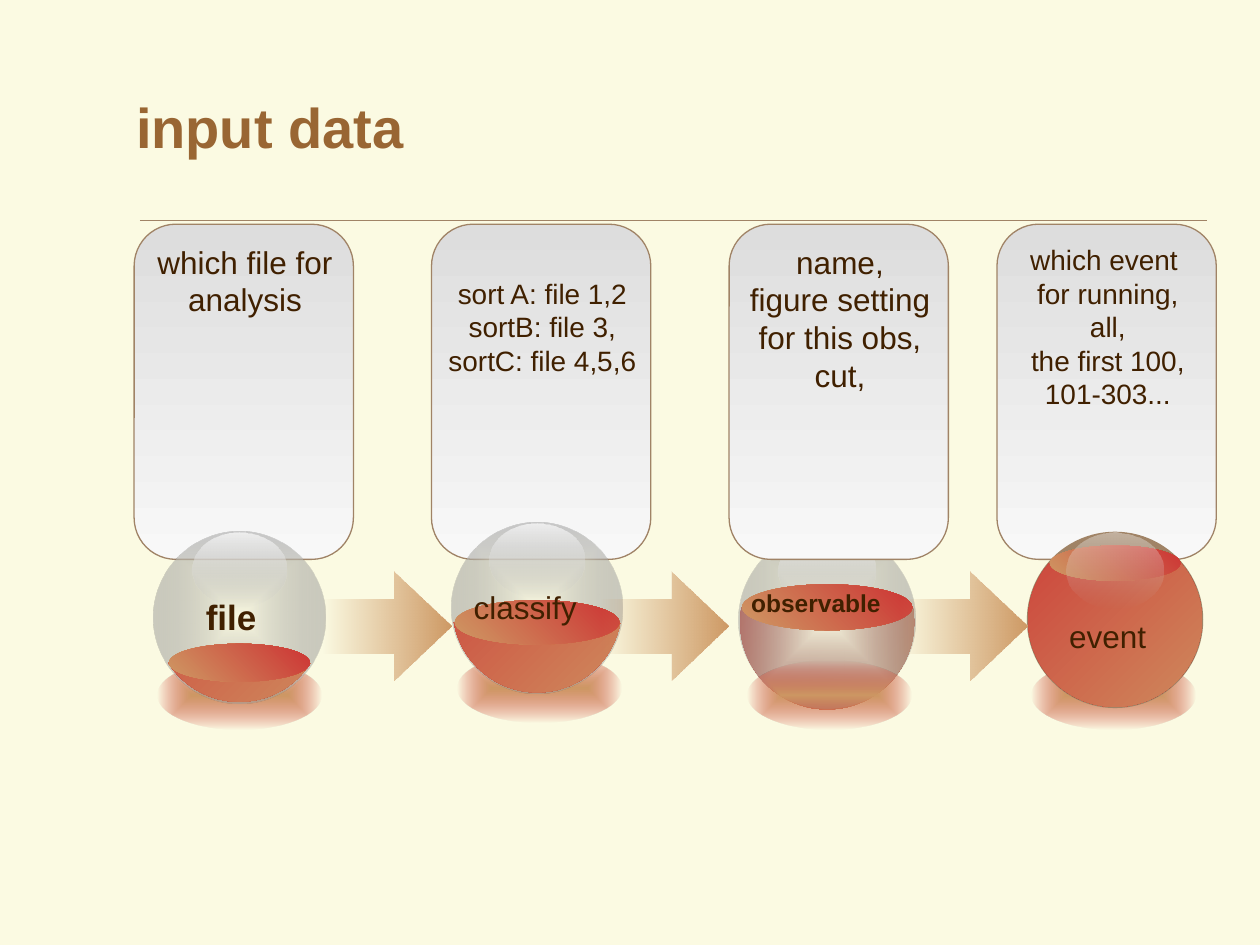
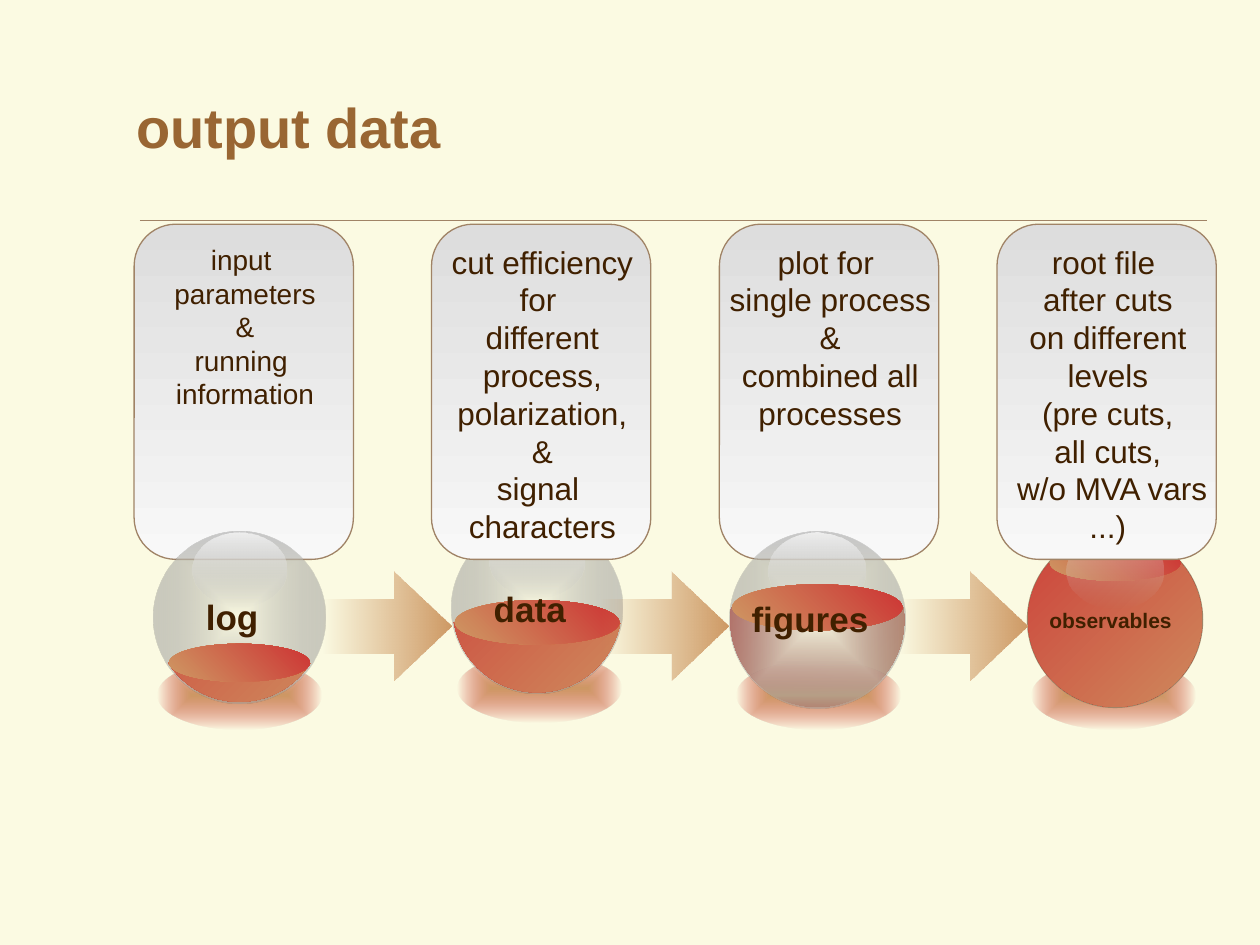
import math
from dataclasses import dataclass, replace

import lxml.etree
import pptx
import pptx.dml.color
import pptx.enum.shapes
import pptx.enum.text
import pptx.oxml.ns
import pptx.util

SHAPE = pptx.enum.shapes.MSO_SHAPE
ALIGN = pptx.enum.text.PP_ALIGN
ANCHOR = pptx.enum.text.MSO_ANCHOR
AUTO_SIZE = pptx.enum.text.MSO_AUTO_SIZE
qn = pptx.oxml.ns.qn

# Square grid: 100 columns by 75 rows
COLUMNS, ROWS = 100, 75
SLIDE_WIDTH, SLIDE_HEIGHT = pptx.util.Inches(10), pptx.util.Inches(7.5)
CELL = SLIDE_WIDTH / COLUMNS

COLORS = {
    "cream": "FBFAE2", "title": "996633", "text": "402000", "bronze": "A08366",
    "red": "CD3333", "tan": "CE9964", "gray": "969696", "silver": "C0C0C0",
    "card top": "DDDDDD", "white": "F8F8F8",
}
FONT = "Arial"


@dataclass(frozen=True)
class Gradient:
    """Two colours with opacity in percent; no angle means from the centre."""
    start: str
    end: str
    angle: int | None = None
    start_opacity: int = 100
    end_opacity: int = 100


CARD_FILL = Gradient("card top", "white", 90)
LIQUID_FILL = Gradient("red", "tan", 90)
SURFACE_FILL = Gradient("tan", "red", 315)
GLASS_FILL = Gradient("cream", "gray", end_opacity=48)
GLOW_FILL = Gradient("tan", "red", end_opacity=0)
ARROW_FILL = Gradient("tan", "tan", 0, start_opacity=0)
LIQUID_TURN = 315


@dataclass(frozen=True)
class Ball:
    left: float
    top: float
    size: float
    level: float
    glow_left: float
    glow_top: float = 52.45
    layers: str = "glow glass liquid surface gloss"
    glass: Gradient | str = GLASS_FILL
    gloss_opacity: int = 80
    liquid_drop: float = 0


@dataclass(frozen=True)
class Label:
    text: str
    box: tuple[float, float, float, float]
    size: int
    bold: bool = True


@dataclass(frozen=True)
class Stage:
    card_left: float
    lines: tuple[str, ...]
    ball: Ball
    label: Label
    text_size: int = 18
    card_in_front: bool = False
    lines_skipped: int = 0


# Balls, from nearly empty to nearly full
LOW = Ball(12.2, 42.2, 13.6, 52.6, 12.5)
HALF = Ball(35.83, 41.45, 13.6, 49.4, 36.3, 51.9)
HIGH = Ball(58.65, 42.2, 14, 48.2, 59.3, layers="liquid glass glow gloss surface",
            liquid_drop=0.2)
FULL = Ball(81.5, 42.2, 14, 44.7, 81.85, glass="bronze", gloss_opacity=40)
HIGH_SHIFTED = replace(HIGH, left=57.87, glow_left=58.5, liquid_drop=0,
                       layers="liquid glow glass gloss surface")

CARD_TOP, CARD_WIDTH, CARD_HEIGHT = 17.8, 17.4, 26.6
ARROW_LEFTS = (25.6, 47.65, 71.33)

SLIDES = {
    "input data": (
        Stage(10.65, ("which file for", "analysis"), LOW,
              Label("file", (15.35, 46.75, 7, 4.3), 20)),
        Stage(34.25, ("sort A: file 1,2", "sortB: file 3,", "sortC: file 4,5,6"), HALF,
              Label("classify", (36.6, 46.2, 11.2, 7.3), 18, False), 16, lines_skipped=1),
        Stage(57.87, ("name,", "figure setting", "for this obs,", "cut,"), HIGH,
              Label("observable", (58.63, 46.2, 14.1, 3.3), 14), card_in_front=True),
        Stage(79.13, ("which event ", "for running,", "all,", "the first 100,", "101-303..."),
              FULL, Label("event", (83.87, 48.5, 9.1, 4), 18, False), 16),
    ),
    "output data": (
        Stage(10.65, ("input ", "parameters", "&", "running ", "information"), LOW,
              Label("log", (15.35, 46.75, 6.8, 4.3), 20), 16),
        Stage(34.25, ("cut efficiency", "for ", "different", "process,", "polarization,",
                      "&", "signal ", "characters"), HALF,
              Label("data", (38.2, 46.15, 9.1, 4.3), 20), card_in_front=True),
        Stage(57.1, ("plot for ", "single process", "&", "combined all", "processes"),
              HIGH_SHIFTED, Label("figures", (58.67, 46.9, 13, 4.3), 20)),
        Stage(79.13, ("root file ", "after cuts", "on different", "levels", "(pre cuts,",
                      "all cuts,", " w/o MVA vars", "...)"), FULL,
              Label("observables", (82.3, 47.7, 13.4, 3), 12), card_in_front=True),
    ),
}


def cells(*lengths: float) -> list[pptx.util.Emu]:
    return [pptx.util.Emu(round(length * CELL)) for length in lengths]


def rgb(name: str) -> pptx.dml.color.RGBColor:
    return pptx.dml.color.RGBColor.from_string(COLORS[name])


def paint(shape, fill: Gradient | str) -> None:
    """Fill a shape and take away its line and shadow."""
    shape.shadow.inherit = False
    shape.line.fill.background()
    if isinstance(fill, str):
        shape.fill.solid()
        shape.fill.fore_color.rgb = rgb(fill)
        return
    shape.fill.background()
    properties = shape._element.spPr
    gradient = lxml.etree.Element(qn("a:gradFill"), rotWithShape="1")
    stops = lxml.etree.SubElement(gradient, qn("a:gsLst"))
    for position, name, opacity in ((0, fill.start, fill.start_opacity),
                                    (100000, fill.end, fill.end_opacity)):
        stop = lxml.etree.SubElement(stops, qn("a:gs"), pos=str(position))
        color = lxml.etree.SubElement(stop, qn("a:srgbClr"), val=COLORS[name])
        if opacity < 100:
            lxml.etree.SubElement(color, qn("a:alpha"), val=str(opacity * 1000))
    if fill.angle is None:
        center = lxml.etree.SubElement(gradient, qn("a:path"), path="shape")
        sides = dict.fromkeys("ltrb", "50000")
        lxml.etree.SubElement(center, qn("a:fillToRect"), **sides)
    else:
        lxml.etree.SubElement(gradient, qn("a:lin"), ang=str(fill.angle * 60000), scaled="0")
    properties.replace(properties.find(qn("a:noFill")), gradient)


def write(paragraph, text: str, size: int, bold: bool = False, color: str = "text") -> None:
    run = paragraph.add_run()
    run.text = text
    font_format = {"name": FONT, "size": pptx.util.Pt(size), "bold": bold}
    for attribute, value in font_format.items():
        setattr(run.font, attribute, value)
    run.font.color.rgb = rgb(color)


def add_title(slide, text: str) -> None:
    title = slide.shapes.title
    title.left, title.top, title.width, title.height = cells(9.8, 4.45, 85.2, 11.1)
    title.text_frame.vertical_anchor = ANCHOR.MIDDLE
    heading = title.text_frame.paragraphs[0]
    heading.alignment = ALIGN.LEFT
    write(heading, text, 32, True, "title")

    rule = slide.shapes.add_connector(
        pptx.enum.shapes.MSO_CONNECTOR.STRAIGHT, *cells(11.1, 17.5, 95.8, 17.5))
    rule.line.color.rgb = rgb("bronze")
    rule.line.width = pptx.util.Pt(0.25)
    lxml.etree.SubElement(rule._element.spPr, qn("a:effectLst"))


def add_card(slide, stage: Stage) -> None:
    card = slide.shapes.add_shape(
        SHAPE.ROUNDED_RECTANGLE, *cells(stage.card_left, CARD_TOP, CARD_WIDTH, CARD_HEIGHT))
    card.adjustments[0] = 0.19
    paint(card, CARD_FILL)
    card.line.color.rgb = rgb("bronze")
    card.line.width = pptx.util.Pt(0.75)
    frame = card.text_frame
    skipped = pptx.util.Pt(1.2 * stage.text_size * stage.lines_skipped)
    frame_format = {"word_wrap": False, "vertical_anchor": ANCHOR.TOP,
                    "margin_top": pptx.util.Inches(0.05) + skipped}
    for attribute, value in frame_format.items():
        setattr(frame, attribute, value)
    for index, line in enumerate(stage.lines):
        paragraph = frame.add_paragraph() if index else frame.paragraphs[0]
        paragraph.alignment = ALIGN.CENTER
        paragraph._p.get_or_add_pPr().set("marL", str(pptx.util.Inches(0.02)))
        write(paragraph, line, stage.text_size)


def add_liquid(shapes, center_x: float, center_y: float, radius: float, level: float) -> None:
    """Draw the part of a circle below the level, as a few curves in a turned square."""
    left, top, right, bottom = cells(center_x - radius, center_y - radius,
                                     center_x + radius, center_y + radius)
    builder = shapes.build_freeform(left, top)
    builder.add_line_segments([(right, top), (right, bottom), (left, bottom)], close=True)
    liquid = builder.convert_to_shape()
    paint(liquid, LIQUID_FILL)
    liquid.rotation = LIQUID_TURN

    surface_angle = math.asin((level - center_y) / radius)
    sweep = math.pi - 2 * surface_angle
    curves = math.ceil(sweep / (math.pi / 2))
    step = sweep / curves
    reach = 4 / 3 * math.tan(step / 4)
    outline = next(liquid._element.iter(qn("a:path")))
    for part in list(outline):
        outline.remove(part)

    def add_point(parent, angle: float, tangent: float = 0) -> None:
        x = radius * (1 + math.cos(angle) - tangent * math.sin(angle))
        y = radius * (1 + math.sin(angle) + tangent * math.cos(angle))
        column, row = cells(x, y)
        lxml.etree.SubElement(parent, qn("a:pt"), x=str(column), y=str(row))

    angle = surface_angle - math.radians(LIQUID_TURN)
    add_point(lxml.etree.SubElement(outline, qn("a:moveTo")), angle)
    for _ in range(curves):
        curve = lxml.etree.SubElement(outline, qn("a:cubicBezTo"))
        add_point(curve, angle, reach)
        angle += step
        add_point(curve, angle, -reach)
        add_point(curve, angle)
    lxml.etree.SubElement(outline, qn("a:close"))


def add_ball(slide, ball: Ball, label: Label) -> None:
    shapes = slide.shapes.add_group_shape().shapes
    radius = ball.size / 2
    center_x, center_y = ball.left + radius, ball.top + radius
    liquid_radius = radius - 0.1
    surface = 1.98 * math.sqrt(liquid_radius ** 2 - (ball.level - center_y) ** 2)
    gloss_width = 0.55 * ball.size
    gloss_fill = Gradient("white", "silver", 90, ball.gloss_opacity, 0)
    # Each ellipse: left, top, width, height, fill
    ellipses = {
        "glow": (ball.glow_left, ball.glow_top, 13, 5.45, GLOW_FILL),
        "glass": (ball.left, ball.top, ball.size, ball.size, ball.glass),
        "surface": (center_x - surface / 2, ball.level - 0.135 * surface,
                    surface, 0.27 * surface, SURFACE_FILL),
        "gloss": (center_x - gloss_width / 2, ball.top + 0.1,
                  gloss_width, 0.43 * ball.size, gloss_fill),
    }
    for layer in ball.layers.split():
        if layer == "liquid":
            add_liquid(shapes, center_x, center_y + ball.liquid_drop, liquid_radius, ball.level)
            continue
        *box, fill = ellipses[layer]
        paint(shapes.add_shape(SHAPE.OVAL, *cells(*box)), fill)

    caption = shapes.add_textbox(*cells(*label.box)).text_frame
    caption.word_wrap = False
    caption.auto_size = AUTO_SIZE.SHAPE_TO_FIT_TEXT
    write(caption.paragraphs[0], label.text, label.size, label.bold)


def add_arrow(slide, left: float) -> None:
    arrow = slide.shapes.add_shape(SHAPE.RIGHT_ARROW, *cells(left, 45.4, 10.2, 8.6))
    arrow.adjustments[0], arrow.adjustments[1] = 0.5, 0.53
    paint(arrow, ARROW_FILL)


def add_process_slide(deck, title: str, stages: tuple[Stage, ...]) -> None:
    slide = deck.slides.add_slide(deck.slide_layouts[5])
    add_title(slide, title)
    for stage in stages:
        if not stage.card_in_front:
            add_card(slide, stage)
        add_ball(slide, stage.ball, stage.label)
        if stage.card_in_front:
            add_card(slide, stage)
    for left in ARROW_LEFTS:
        add_arrow(slide, left)


def main() -> None:
    deck = pptx.Presentation()
    deck.slide_width, deck.slide_height = SLIDE_WIDTH, SLIDE_HEIGHT
    background = deck.slide_master.background.fill
    background.solid()
    background.fore_color.rgb = rgb("cream")
    for title, stages in SLIDES.items():
        add_process_slide(deck, title, stages)
    deck.save("out.pptx")


if __name__ == "__main__":
    main()
